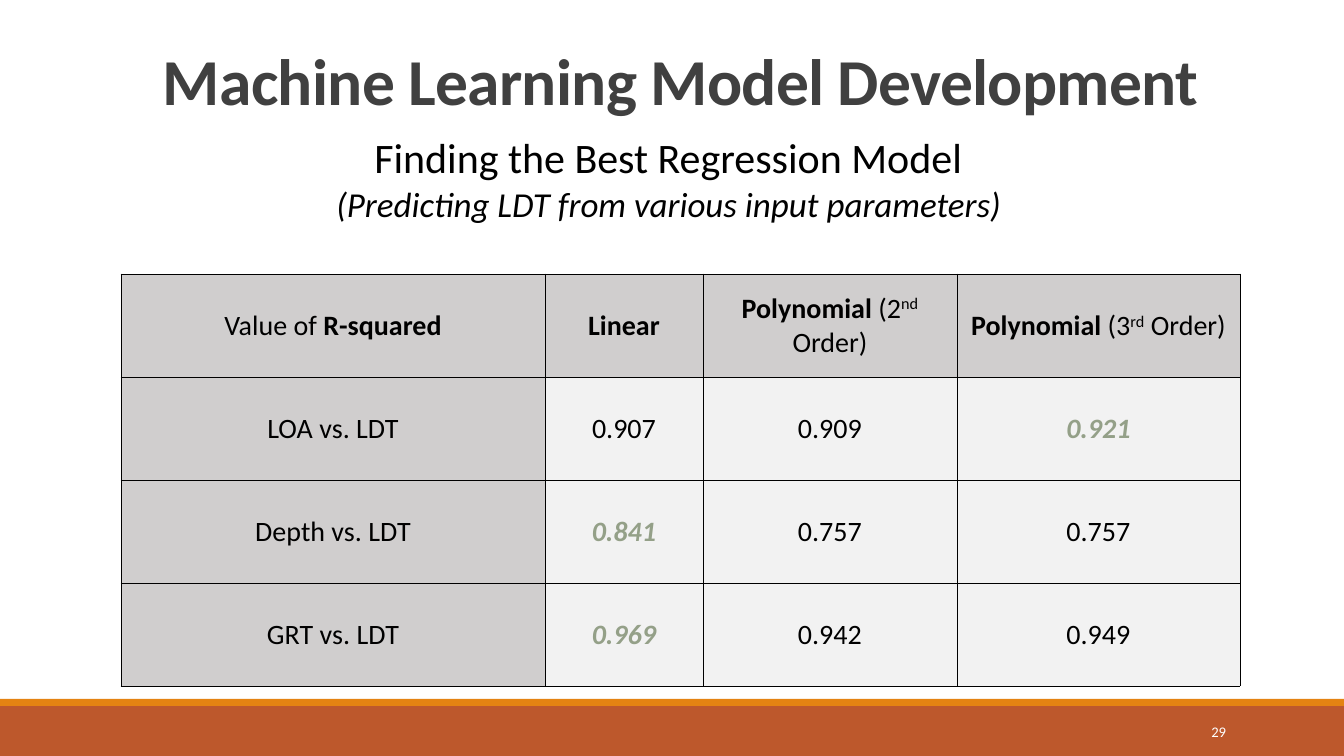
from lxml import etree
from pptx import Presentation
from pptx import util as u
from pptx.dml.color import RGBColor
from pptx.enum import shapes, text
from pptx.oxml import ns

# Content: each run is (text, format)
BOLD, ITALIC, SUPER = {"bold": True}, {"italic": True}, {"baseline": 30000}
TITLE = "Machine Learning Model Development"
SUBTITLE = "Finding the Best Regression Model"
SUBTITLE_NOTE = "(Predicting LDT from various input parameters)"
PAGE = "29"
HEADER = [
    [("Value of ", {}), ("R-squared", BOLD)],
    [("Linear", BOLD)],
    [("Polynomial", BOLD), (" (2", {}), ("nd", SUPER), (" Order)", {})],
    [("Polynomial", BOLD), (" (3", {}), ("rd", SUPER), (" Order)", {})],
]
SCORES = {
    "LOA vs. LDT": [0.907, 0.909, 0.921],
    "Depth vs. LDT": [0.841, 0.757, 0.757],
    "GRT vs. LDT": [0.969, 0.942, 0.949],
}

# Theme and layout, lengths in px
THEME = {
    "font": "Calibri", "ink": "000000", "title": "404040", "page": "FFFFFF",
    "best": "94A088", "head": "D0CECE", "body": "F2F2F2",
    "footer": "BD582C", "stripe": "E48312",
    "title_pt": 46.8, "subtitle_pt": 30, "note_pt": 25, "cell_pt": 20,
    "page_pt": 10.5, "border_pt": 0.5,
}
PX = 914400 / 100.8
WIDTH, HEIGHT = 1344, 756
FOOTER_TOP, STRIPE_H = 706, 7
TABLE_LEFT, TABLE_TOP, ROW_H = 121, 274, 103
COLUMNS = [424, 158, 254, 283]


def px(*lengths):
    return [u.Emu(round(length * PX)) for length in lengths]


def color(name):
    return RGBColor.from_string(THEME[name])


def add_runs(paragraph, runs, size, ink="ink", align=text.PP_ALIGN.CENTER):
    paragraph.alignment = align
    for words, style in runs:
        run = paragraph.add_run()
        run.text = words
        style = dict(style)
        xml_values = {k: style.pop(k) for k in ("baseline", "spc") if k in style}
        look = {"name": THEME["font"], "size": u.Pt(THEME[size]), **style}
        for key, value in look.items():
            setattr(run.font, key, value)
        run.font.color.rgb = color(ink)
        for key, value in xml_values.items():
            run._r.get_or_add_rPr().set(key, str(value))


def add_frame(slide, box, anchor=text.MSO_ANCHOR.TOP):
    frame = slide.shapes.add_textbox(*px(*box)).text_frame
    frame.word_wrap = True
    frame.vertical_anchor = anchor
    return frame


def add_bar(slide, box, fill):
    bar = slide.shapes.add_shape(shapes.MSO_SHAPE.RECTANGLE, *px(*box))
    bar.shadow.inherit = False
    bar.fill.solid()
    bar.fill.fore_color.rgb = color(fill)
    bar.line.fill.background()


def add_borders(cell):
    properties = cell._tc.get_or_add_tcPr()
    for index, side in enumerate(("lnL", "lnR", "lnT", "lnB")):
        line = etree.Element(ns.qn(f"a:{side}"), w=str(u.Pt(THEME["border_pt"])))
        fill = etree.SubElement(line, ns.qn("a:solidFill"))
        etree.SubElement(fill, ns.qn("a:srgbClr"), val=THEME["ink"])
        properties.insert(index, line)


def fill_cell(cell, runs, fill, ink="ink"):
    left, right, top = px(1, 1, 1)
    layout = {"margin_left": left, "margin_right": right, "margin_top": top,
              "margin_bottom": 0, "vertical_anchor": text.MSO_ANCHOR.MIDDLE}
    for key, value in layout.items():
        setattr(cell, key, value)
    cell.fill.solid()
    cell.fill.fore_color.rgb = color(fill)
    add_borders(cell)
    add_runs(cell.text_frame.paragraphs[0], runs, "cell_pt", ink)


def add_scores(slide):
    rows = len(SCORES) + 1
    box = px(TABLE_LEFT, TABLE_TOP, sum(COLUMNS), ROW_H * rows)
    table = slide.shapes.add_table(rows, len(COLUMNS), *box).table
    table.first_row = table.horz_banding = False
    for column, width in zip(table.columns, px(*COLUMNS)):
        column.width = width
    for row in table.rows:
        row.height = px(ROW_H)[0]
    for c, runs in enumerate(HEADER):
        fill_cell(table.cell(0, c), runs, "head")
    # The highest score in each row is highlighted
    for r, (label, values) in enumerate(SCORES.items(), 1):
        fill_cell(table.cell(r, 0), [(label, {})], "head")
        for c, value in enumerate(values, 1):
            best = value == max(values)
            style = {**BOLD, **ITALIC} if best else {}
            fill_cell(table.cell(r, c), [(f"{value:.3f}", style)], "body",
                      "best" if best else "ink")


def main():
    deck = Presentation()
    deck.slide_width, deck.slide_height = px(WIDTH, HEIGHT)
    slide = deck.slides.add_slide(deck.slide_layouts[6])

    # Footer
    add_bar(slide, (0, FOOTER_TOP, WIDTH, HEIGHT - FOOTER_TOP), "footer")
    add_bar(slide, (0, FOOTER_TOP - STRIPE_H, WIDTH, STRIPE_H), "stripe")
    page = add_frame(slide, (1092, 712, 144, 40), text.MSO_ANCHOR.MIDDLE)
    add_runs(page.paragraphs[0], [(PAGE, {})], "page_pt", "page",
             text.PP_ALIGN.RIGHT)

    # Table
    add_scores(slide)

    # Headings
    title = add_frame(slide, (126, 47, 1109, 160)).paragraphs[0]
    title.line_spacing = 0.85
    add_runs(title, [(TITLE, {**BOLD, "spc": -50})], "title_pt", "title")
    subtitle = add_frame(slide, (26, 127, 1285, 104))
    add_runs(subtitle.paragraphs[0], [(SUBTITLE, {})], "subtitle_pt")
    add_runs(subtitle.add_paragraph(), [(SUBTITLE_NOTE, ITALIC)], "note_pt")

    deck.save("out.pptx")


if __name__ == "__main__":
    main()
